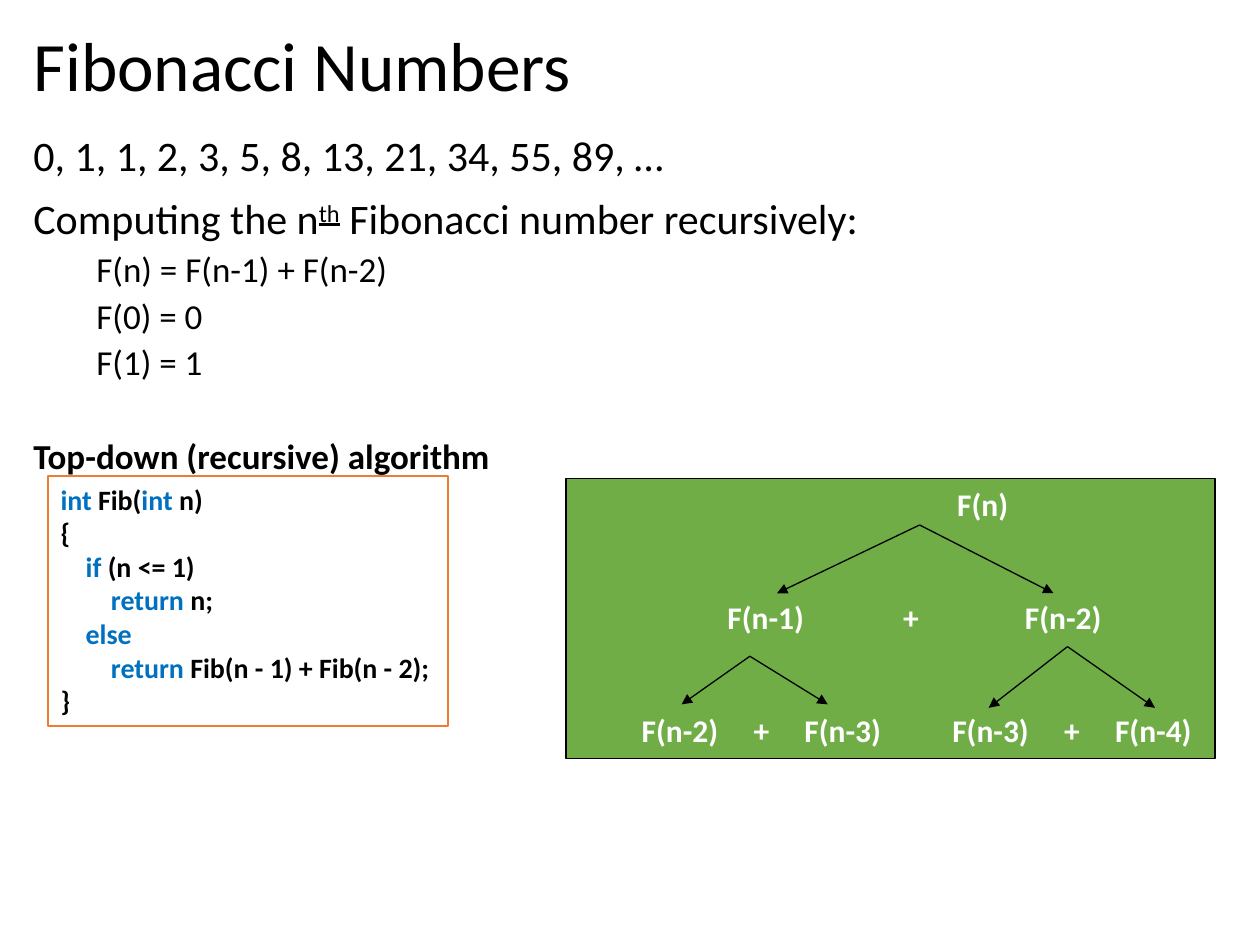
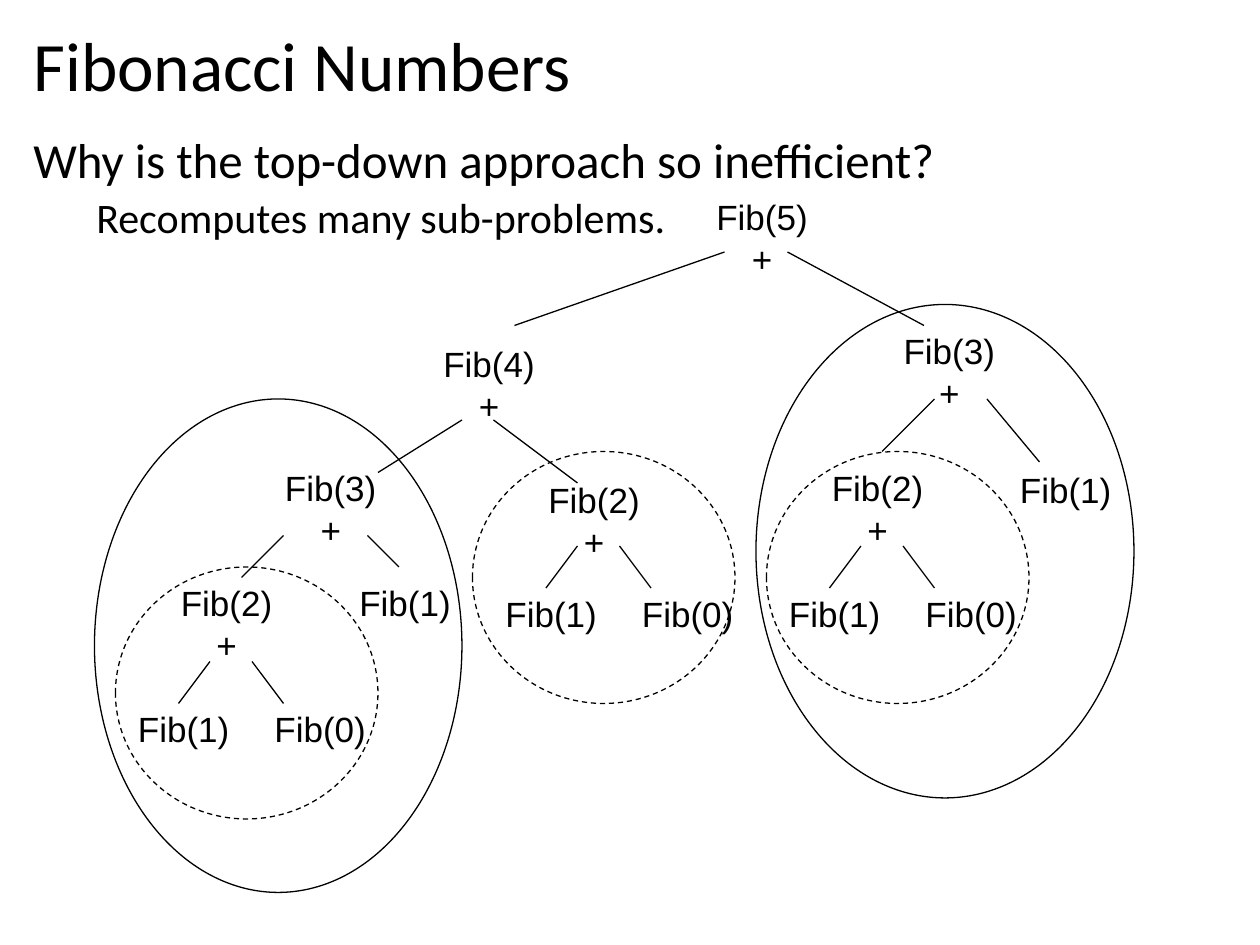
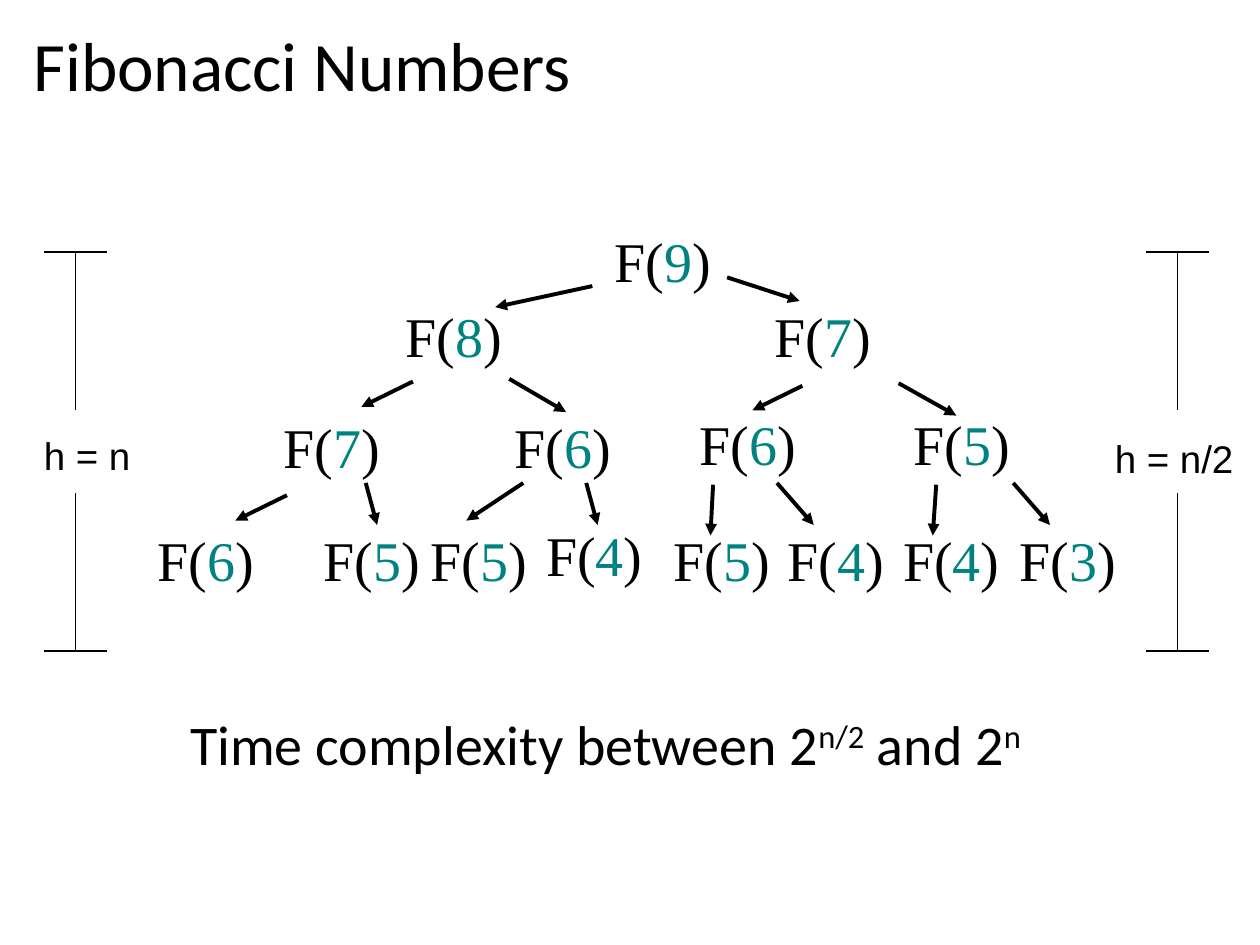
from lxml.etree import SubElement
from pptx import Presentation
from pptx.dml.color import RGBColor
from pptx.enum.dml import MSO_LINE_DASH_STYLE as Dash
from pptx.enum.shapes import MSO_CONNECTOR_TYPE as Connector, MSO_SHAPE as Preset
from pptx.enum.text import MSO_ANCHOR as Anchor, PP_ALIGN as Align
from pptx.oxml.ns import qn
from pptx.util import Pt

rgb = RGBColor.from_string
BLACK, WHITE, GREEN, ORANGE = "000000", "FFFFFF", "70AD47", "ED7D31"
KEYWORD, TEAL = {"color": "0070C0"}, {"color": "008380"}
SUPERSCRIPT = {"baseline": "30000"}
TITLE_FONT = {"name": "Calibri", "size": Pt(39.6), "color": BLACK}
BODY_FONT = {**TITLE_FONT, "size": Pt(24)}
CODE_FONT = {**TITLE_FONT, "size": Pt(16), "bold": True}
CALL_FONT = {**TITLE_FONT, "size": Pt(18), "bold": True, "color": WHITE}
FIB_FONT = {"name": "Arial", "size": Pt(20), "color": BLACK}
HEIGHT_FONT = {**FIB_FONT, "size": Pt(22)}
NODE_FONT = {"name": "Times New Roman", "size": Pt(32), "color": BLACK}
COMPLEXITY_FONT = {**TITLE_FONT, "size": Pt(32)}
BODY_BOX = (12, 74, 693, 413)
TOP = {"line_spacing": 0.9}
MAIN = {**TOP, "space_before": Pt(10)}
SUB = {**TOP, "space_before": Pt(5), "indent": Pt(36)}
CENTERED = {"alignment": Align.CENTER}


def write_text(shape, paragraphs, font, wrap=True, anchor=Anchor.TOP):
    frame = shape.text_frame
    frame.word_wrap = wrap
    frame.vertical_anchor = anchor
    for index, (runs, layout) in enumerate(paragraphs):
        paragraph = frame.paragraphs[0] if index == 0 else frame.add_paragraph()
        properties = paragraph._p.get_or_add_pPr()
        for name, value in {"alignment": Align.LEFT, **layout}.items():
            if name == "indent":
                properties.set("marL", str(value))
            elif name == "tabs":
                tab_list = SubElement(properties, qn("a:tabLst"))
                for position in value:
                    SubElement(tab_list, qn("a:tab"), pos=str(Pt(position)), algn="ctr")
            else:
                setattr(paragraph, name, value)
        for text, changes in runs:
            run = paragraph.add_run()
            run.text = text
            for name, value in {**font, **changes}.items():
                if name == "color":
                    run.font.color.rgb = rgb(value)
                elif name == "baseline":
                    run._r.get_or_add_rPr().set("baseline", value)
                else:
                    setattr(run.font, name, value)


def add_line(slide, ends, width=0.75, arrow=False):
    line = slide.shapes.add_connector(Connector.STRAIGHT, *map(Pt, ends))
    line.line.color.rgb = rgb(BLACK)
    line.line.width = Pt(width)
    if arrow:
        SubElement(line.line._get_or_add_ln(), qn("a:tailEnd"), type="triangle")
    SubElement(line._element.spPr, qn("a:effectLst"))


presentation = Presentation()
presentation.slide_width, presentation.slide_height = Pt(720), Pt(540)
slides = []
for number in range(3):
    slide = presentation.slides.add_slide(presentation.slide_layouts[6])
    title = slide.shapes.add_textbox(Pt(12), Pt(13), Pt(693), Pt(53))
    write_text(title, [([("Fibonacci Numbers", {})], TOP)], TITLE_FONT, anchor=Anchor.MIDDLE)
    slides.append(slide)
recursion_slide, overlap_slide, complexity_slide = slides

small = {"size": Pt(20)}
definition = [
    ([("0, 1, 1, 2, 3, 5, 8, 13, 21, 34, 55, 89, …", {})], TOP),
    ([("Computing the n", {}), ("th", {**SUPERSCRIPT, "underline": True}),
      (" Fibonacci number recursively:", {})], MAIN),
    ([("F(n) = F(n-1) + F(n-2)", small)], SUB),
    ([("F(0) = 0", small)], SUB),
    ([("F(1) = 1", small)], SUB),
    ([("Top-down (recursive) algorithm", {**small, "bold": True})],
     {**TOP, "space_before": Pt(32)}),
]
body = recursion_slide.shapes.add_textbox(*map(Pt, BODY_BOX))
write_text(body, definition, BODY_FONT)

call_tree = [
    ([("\tF(n)", {})], {"tabs": [231]}),
    ([("\tF(n-1)\t+\tF(n-2)", {})], {"tabs": [107, 190, 277], "space_before": Pt(43)}),
    ([("\tF(n-2)\t+\tF(n-3)\t\tF(n-3)\t+\tF(n-4)".replace("\t\t", "\t"), {})],
     {"tabs": [58, 104.5, 151, 235.5, 282, 328.5], "space_before": Pt(43)}),
]
code_lines = [
    [("int ", KEYWORD), ("Fib(", {}), ("int ", KEYWORD), ("n)", {})],
    [("{", {})],
    [("    if", KEYWORD), (" (n <= 1)", {})],
    [("        return", KEYWORD), (" n;", {})],
    [("    else", KEYWORD)],
    [("        return", KEYWORD), (" Fib(n - 1) + Fib(n - 2);", {})],
    [("}", {})],
]
code = [(runs, {}) for runs in code_lines]
for box, fill, outline, paragraphs, font in [
    ((323.5, 273.5, 371, 160), GREEN, BLACK, call_tree, CALL_FONT),
    ((27.5, 272, 228.5, 143), WHITE, ORANGE, code, CODE_FONT),
]:
    panel = recursion_slide.shapes.add_shape(Preset.RECTANGLE, *map(Pt, box))
    panel.shadow.inherit = False
    panel.fill.solid()
    panel.fill.fore_color.rgb = rgb(fill)
    panel.line.color.rgb = rgb(outline)
    panel.line.width = Pt(1)
    write_text(panel, paragraphs, font)

for x, y, left, right, bottom in [
    (525.5, 300, 444, 602, 339),
    (428.5, 375, 389.5, 473, 402.5),
    (610, 369.5, 565, 660, 404.5),
]:
    for target in (left, right):
        add_line(recursion_slide, (x, y, target, bottom), arrow=True)

question = [
    ([("Why is the top-down approach so inefficient?", {"size": Pt(28)})], TOP),
    ([("Recomputes many sub-problems.", {})], SUB),
]
body = overlap_slide.shapes.add_textbox(*map(Pt, BODY_BOX))
write_text(body, question, BODY_FONT)

fib_nodes = [
    (5, 402, 108), (4, 246, 192), (3, 509, 185), (3, 155.5, 263),
    (1, 575.5, 264), (1, 198, 329),
]
branches = [
    (414, 144, 294, 186), (450, 144, 528, 186), (264, 240, 216, 270), (282, 240, 330, 276),
    (534, 228, 504, 258), (564, 228, 594, 264), (162, 306, 138, 330), (210, 306, 228, 324),
]
ellipses = [(54, 228, 210, 282, None), (432, 174, 216, 282, None)]
for x, y, rise, ellipse_left in [
    (71.5, 401, 72, 66), (281.5, 335, 65, 270), (443.5, 335, 72, 438),
]:
    fib_nodes += [(2, x + 24.5, y - rise), (1, x, y), (0, x + 78, y)]
    branches += [(x + 48.5, y - 23, x + 30.5, y + 1), (x + 72.5, y - 23, x + 90.5, y + 1)]
    ellipses.append((ellipse_left, y - 77, 150, 144, Dash.DASH))

for n, x, y in fib_nodes:
    label = overlap_slide.shapes.add_textbox(Pt(x), Pt(y), Pt(67), Pt(55))
    lines = [f"Fib({n})", "+"] if n > 1 else [f"Fib({n})"]
    write_text(label, [([(line, {})], CENTERED) for line in lines], FIB_FONT, wrap=False)
for ends in branches:
    add_line(overlap_slide, ends)
for *box, dash in ellipses:
    ellipse = overlap_slide.shapes.add_shape(Preset.OVAL, *map(Pt, box))
    ellipse.shadow.inherit = False
    ellipse.fill.background()
    ellipse.line.color.rgb = rgb(BLACK)
    ellipse.line.width = Pt(0.75)
    ellipse.line.dash_style = dash

for n, x, y in [
    (9, 344, 126), (8, 224.5, 168.5), (7, 435.5, 168.5),
    (7, 155, 232), (6, 287, 232), (6, 392.5, 230.5), (5, 515, 230.5),
    (6, 83, 296.5), (5, 178, 296.5), (5, 239, 296.5), (4, 305, 294),
    (5, 378, 296.5), (4, 443, 296.5), (4, 509, 296.5), (3, 575.5, 296.5),
]:
    node = complexity_slide.shapes.add_textbox(Pt(x), Pt(y), Pt(80), Pt(45))
    write_text(node, [([("F(", {}), (str(n), TEAL), (")", {})], {})], NODE_FONT)

for ends in [
    (338.5, 163.5, 283, 175.5), (415.5, 158.5, 457, 172),
    (236, 218, 206.5, 232.5), (291, 216.5, 323.5, 235.5),
    (458.5, 220.5, 430, 234.5), (513.5, 219, 546.5, 237.5),
    (164, 283, 134.5, 297.5), (209, 276, 215.5, 300),
    (299, 276, 266.5, 297.5), (335, 276, 341.5, 300),
    (407.5, 277, 406, 306), (444, 276, 465, 300),
    (535, 277, 533, 306), (579, 276, 600, 300),
]:
    add_line(complexity_slide, ends, 2.25, arrow=True)

complexity = complexity_slide.shapes.add_textbox(Pt(101.5), Pt(402), Pt(500), Pt(46))
bounds = [("Time complexity between 2", {}), ("n/2", SUPERSCRIPT), (" and 2", {}), ("n", SUPERSCRIPT)]
write_text(complexity, [(bounds, {})], COMPLEXITY_FONT)

for text, x, label_box in [
    ("h = n", 43, (18, 243.5, 64, 34)),
    ("h = n/2", 673, (630, 245, 83, 34)),
]:
    for y in (144, 372):
        add_line(complexity_slide, (x - 18, y, x + 18, y))
    for start, end in [(372, 282), (234, 144)]:
        add_line(complexity_slide, (x, start, x, end))
    label = complexity_slide.shapes.add_textbox(*map(Pt, label_box))
    write_text(label, [([(text, {})], {})], HEIGHT_FONT, wrap=False)

presentation.save("out.pptx")
